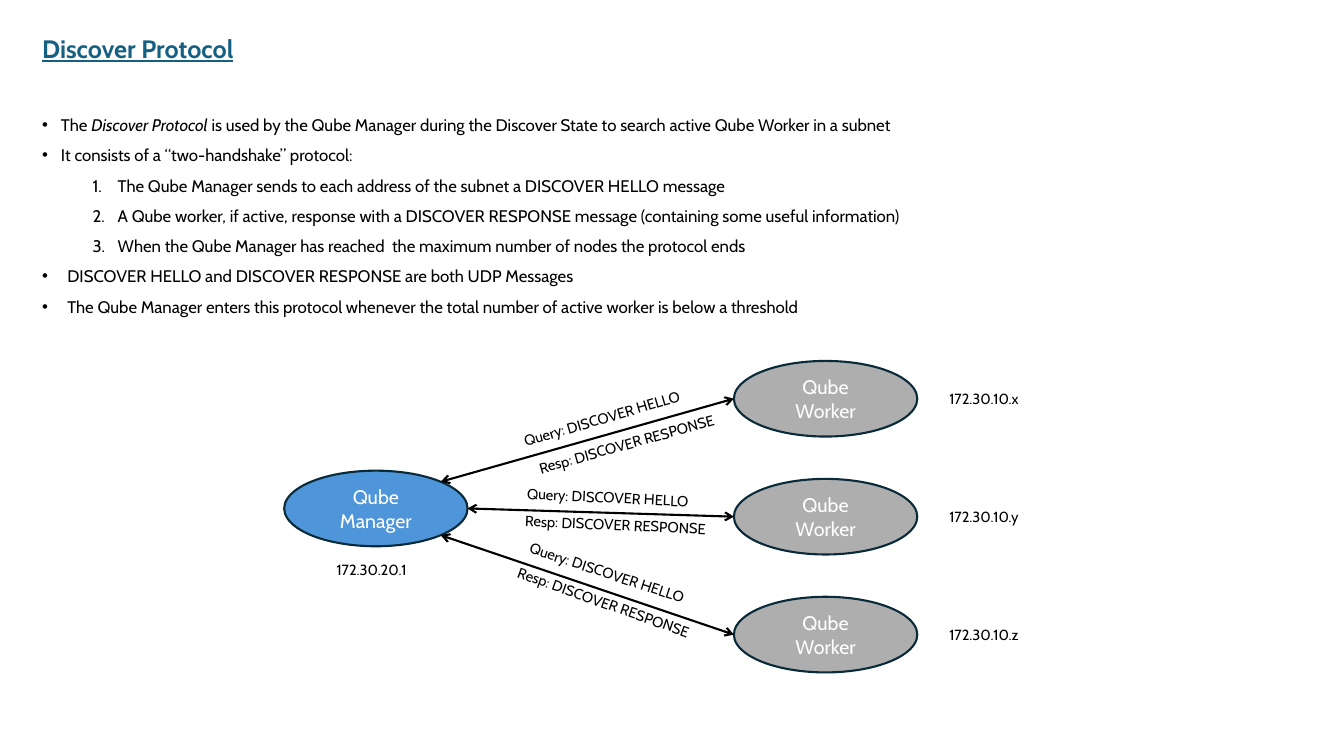
import math
from dataclasses import dataclass
from typing import Any, NamedTuple

import pptx
import pptx.dml.color
import pptx.enum.shapes
import pptx.enum.text
import pptx.oxml.ns
import pptx.util
import lxml.etree

Pt = pptx.util.Pt
ALIGN = pptx.enum.text.PP_ALIGN
ANCHOR = pptx.enum.text.MSO_ANCHOR


@dataclass(frozen=True)
class Theme:
    font: str = "Cabin"
    title: str = "156082"
    ink: str = "000000"
    on_node: str = "FFFFFF"
    manager: str = "4E95D9"
    worker: str = "AEAEAE"
    outline: str = "092A39"
    title_size: float = 18
    node_size: float = 14
    body_size: float = 12
    label_size: float = 10.5
    line_width: float = 1.5


THEME = Theme()


class Node(NamedTuple):
    name: str
    left: float
    top: float
    fill: str


class Label(NamedTuple):
    text: str
    left: float
    top: float
    width: float
    rotation: float = 0


class Point(NamedTuple):
    text: str
    indent: float
    hanging: float
    numbered: bool = False
    italic: str = ""  # phrase within the text set in italics


NODE_W, NODE_H = 131, 54
LABEL_H = 20
WORKER_LEFT, WORKER_TOP, WORKER_PITCH = 524.2, 257.8, 84.25
ADDRESS_W = 70.6
QUERY, QUERY_W = "Query: DISCOVER HELLO", 136.8
RESPONSE, RESPONSE_W = "Resp: DISCOVER RESPONSE", 147.6

MANAGER = Node("Qube Manager", 203, 336.2, THEME.manager)
WORKERS = [Node("Qube Worker", WORKER_LEFT, WORKER_TOP + row * WORKER_PITCH, THEME.worker)
           for row in range(3)]

ADDRESSES = [Label("172.30.20.1", 233.3, 397.4, ADDRESS_W)] + [
    Label(f"172.30.10.{host}", 671, worker.top + 17.2, ADDRESS_W)
    for host, worker in zip("xyz", WORKERS)]

MESSAGES = [
    Label(QUERY, 365, 288, QUERY_W, 343.8),
    Label(RESPONSE, 375.8, 306.7, RESPONSE_W, 344.3),
    Label(QUERY, 369.4, 345.6, QUERY_W, 2.8),
    Label(RESPONSE, 367.9, 365, RESPONSE_W, 2.5),
    Label(QUERY, 368.6, 400.3, QUERY_W, 18.3),
    Label(RESPONSE, 359.3, 421.2, RESPONSE_W, 19.6),
]

POINTS = [
    Point("The Discover Protocol is used by the Qube Manager during the Discover State "
          "to search active Qube Worker in a subnet", 13.5, 13.5, italic="Discover Protocol"),
    Point("It consists of a “two-handshake” protocol:", 13.5, 13.5),
    Point("The Qube Manager sends to each address of the subnet a DISCOVER HELLO message",
          54, 18, True),
    Point("A Qube worker, if active, response with a DISCOVER RESPONSE message "
          "(containing some useful information)", 54, 18, True),
    Point("When the Qube Manager has reached  the maximum number of nodes the protocol ends",
          54, 18, True),
    Point("DISCOVER HELLO and DISCOVER RESPONSE are both UDP Messages", 18, 18),
    Point("The Qube Manager enters this protocol whenever the total number of active worker "
          "is below a threshold", 18, 18),
]


def rgb(colour: str) -> pptx.dml.color.RGBColor:
    return pptx.dml.color.RGBColor.from_string(colour)


def add_xml(parent: Any, tag: str, **attributes: str) -> None:
    lxml.etree.SubElement(parent, pptx.oxml.ns.qn(tag), attributes)


def add_run(paragraph: Any, text: str, size: float, colour: str, **extra: Any) -> None:
    run = paragraph.add_run()
    run.text = text
    for name, value in {"name": THEME.font, "size": Pt(size), **extra}.items():
        setattr(run.font, name, value)
    run.font.color.rgb = rgb(colour)


def add_text_box(slide: Any, left: float, top: float, width: float, height: float) -> Any:
    box = slide.shapes.add_textbox(Pt(left), Pt(top), Pt(width), Pt(height))
    frame_format = {"word_wrap": True,
                    "auto_size": pptx.enum.text.MSO_AUTO_SIZE.SHAPE_TO_FIT_TEXT}
    for name, value in frame_format.items():
        setattr(box.text_frame, name, value)
    return box


def add_label(slide: Any, label: Label) -> None:
    box = add_text_box(slide, label.left, label.top, label.width, LABEL_H)
    box.rotation = label.rotation
    add_run(box.text_frame.paragraphs[0], label.text, THEME.label_size, THEME.ink)


def add_node(slide: Any, node: Node) -> None:
    ellipse = slide.shapes.add_shape(pptx.enum.shapes.MSO_SHAPE.OVAL, Pt(node.left),
                                     Pt(node.top), Pt(NODE_W), Pt(NODE_H))
    ellipse.shadow.inherit = False
    ellipse.fill.solid()
    ellipse.fill.fore_color.rgb = rgb(node.fill)
    ellipse.line.color.rgb = rgb(THEME.outline)
    ellipse.line.width = Pt(THEME.line_width)
    for name, value in {"word_wrap": True, "vertical_anchor": ANCHOR.MIDDLE}.items():
        setattr(ellipse.text_frame, name, value)
    caption = ellipse.text_frame.paragraphs[0]
    caption.alignment = ALIGN.CENTER
    add_run(caption, node.name, THEME.node_size, THEME.on_node)


def add_exchange(slide: Any, worker: Node, angle: float) -> None:
    """Two-way arrow from the manager's rim at the angle to the worker's left side."""
    start_x = MANAGER.left + NODE_W / 2 * (1 + math.cos(math.radians(angle)))
    start_y = MANAGER.top + NODE_H / 2 * (1 + math.sin(math.radians(angle)))
    arrow = slide.shapes.add_connector(
        pptx.enum.shapes.MSO_CONNECTOR.STRAIGHT, Pt(start_x), Pt(start_y),
        Pt(worker.left), Pt(worker.top + NODE_H / 2))
    arrow.line.color.rgb = rgb(THEME.ink)
    arrow.line.width = Pt(THEME.line_width)
    for end in ("a:headEnd", "a:tailEnd"):
        add_xml(arrow.line._get_or_add_ln(), end, type="arrow")
    add_xml(arrow._element.spPr, "a:effectLst")


def add_point(paragraph: Any, point: Point) -> None:
    paragraph.line_spacing = 1.5
    paragraph.level = int(point.numbered)
    properties = paragraph._p.get_or_add_pPr()
    properties.set("marL", str(Pt(point.indent)))
    properties.set("indent", str(-Pt(point.hanging)))
    if point.numbered:
        add_xml(properties, "a:buFont", typeface="+mj-lt")
        add_xml(properties, "a:buAutoNum", type="arabicPeriod")
    else:
        add_xml(properties, "a:buFont", typeface="Arial")
        add_xml(properties, "a:buChar", char="•")
    pieces = point.text.partition(point.italic) if point.italic else (point.text,)
    for piece in pieces:
        add_run(paragraph, piece, THEME.body_size, THEME.ink, italic=piece == point.italic)


def main() -> None:
    deck = pptx.Presentation()
    deck.slide_width, deck.slide_height = Pt(960), Pt(540)
    slide = deck.slides.add_slide(deck.slide_layouts[6])

    # Title
    title = add_text_box(slide, 23, 20.2, 262.8, 28.8)
    add_run(title.text_frame.paragraphs[0], "Discover Protocol", THEME.title_size,
            THEME.title, bold=True, underline=True)

    # Manager, workers and the exchanges between them
    for node in [MANAGER, *WORKERS]:
        add_node(slide, node)
    for worker, angle in zip(WORKERS, (-45, 0, 45)):
        add_exchange(slide, worker, angle)

    # Addresses and messages
    for label in ADDRESSES + MESSAGES:
        add_label(slide, label)

    # Protocol description
    description = add_text_box(slide, 23, 71.3, 896.4, 157.7).text_frame
    for index, point in enumerate(POINTS):
        add_point(description.add_paragraph() if index else description.paragraphs[0], point)

    deck.save("out.pptx")


if __name__ == "__main__":
    main()
